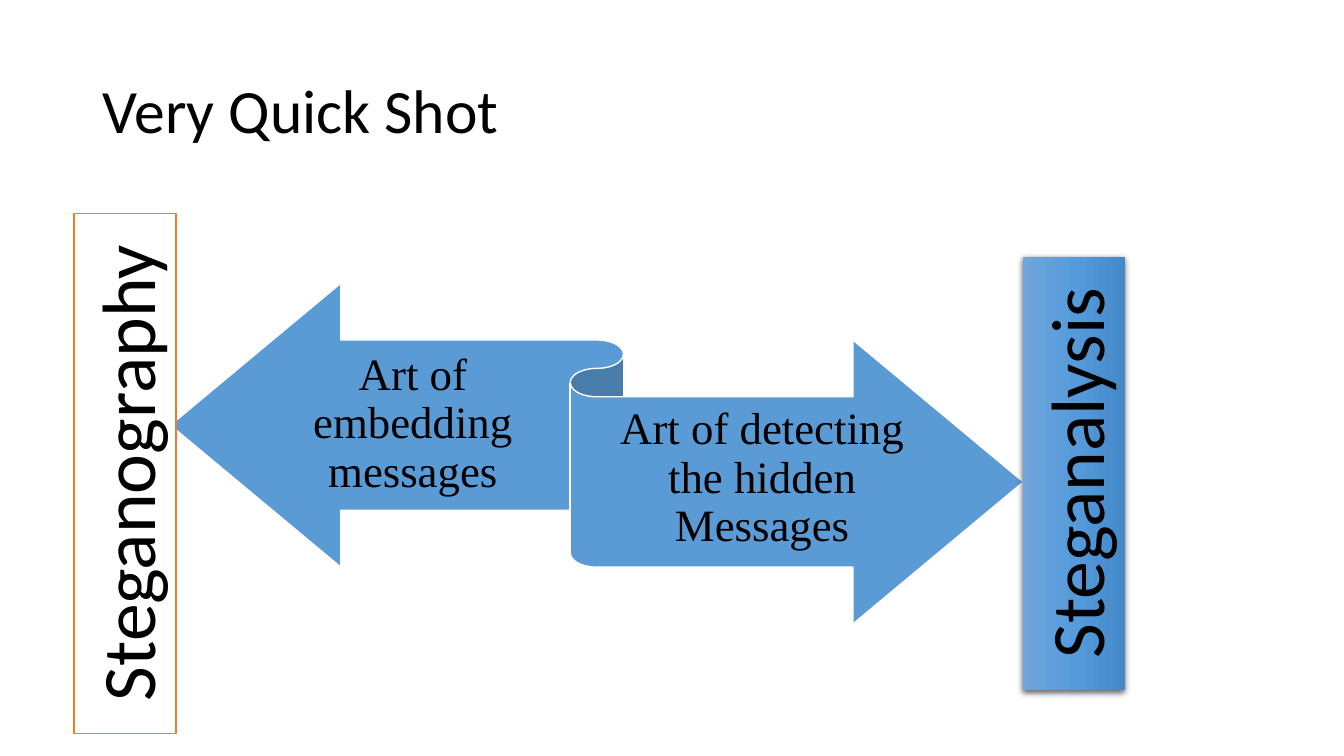
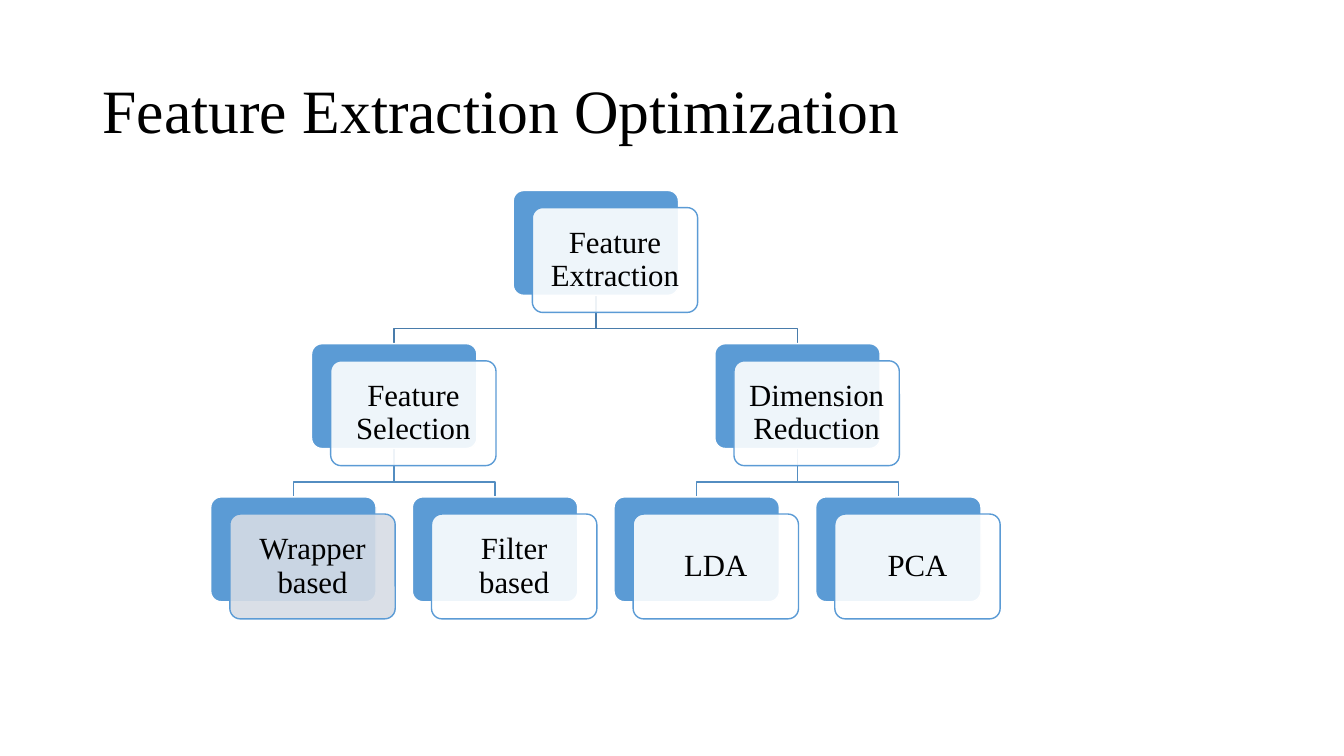
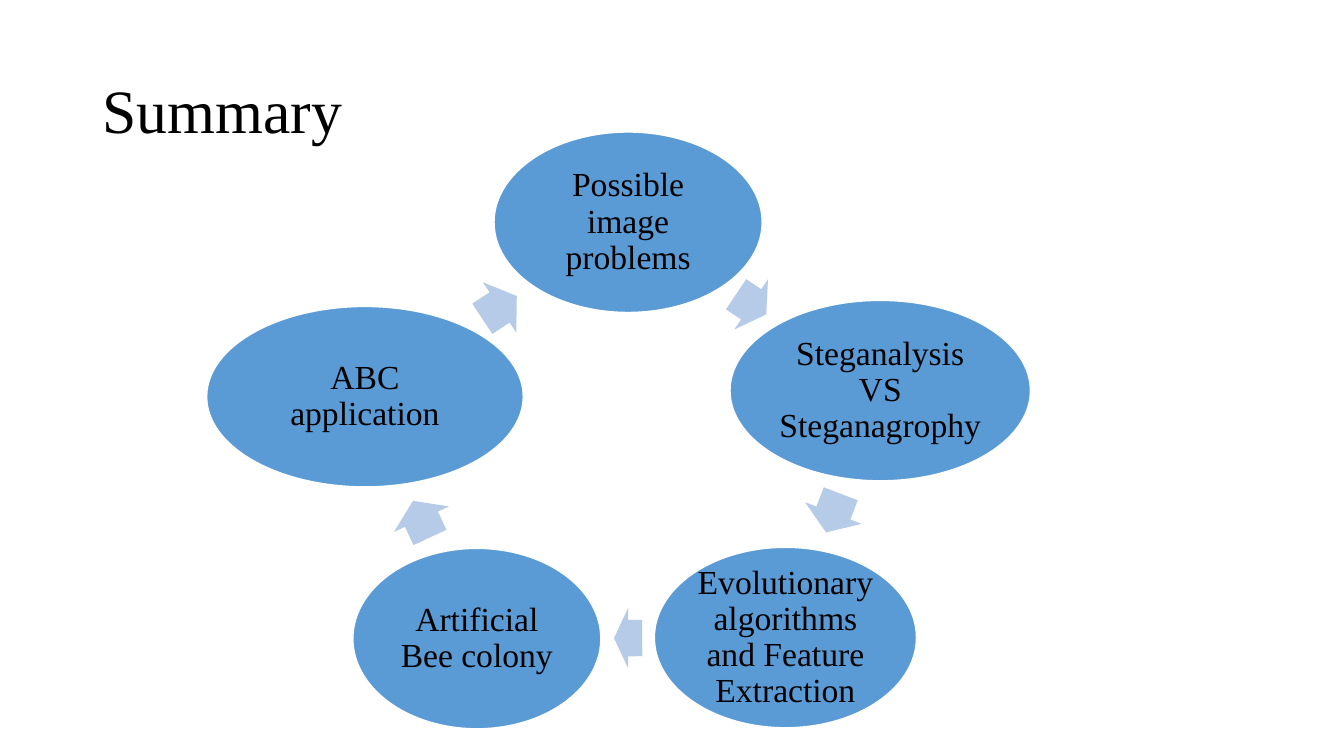
"""Build three slides on steganography, feature extraction and a summary."""
from copy import deepcopy

from pptx import Presentation
from pptx.dml.color import RGBColor
from pptx.enum.shapes import MSO_SHAPE as Preset
from pptx.enum.text import MSO_ANCHOR as Anchor, PP_ALIGN as Align
from pptx.oxml import parse_xml
from pptx.oxml.ns import nsdecls, qn
from pptx.util import Pt

PX = 9144
SANS, SERIF = "Calibri", "Times New Roman"
BLACK = RGBColor(0x00, 0x00, 0x00)
WHITE = RGBColor(0xFF, 0xFF, 0xFF)
BLUE = RGBColor(0x5B, 0x9B, 0xD5)
PALE_BLUE = RGBColor(0xB5, 0xCB, 0xE7)
PALE_GREY = RGBColor(0xD6, 0xDC, 0xE5)
ORANGE = RGBColor(0xED, 0x7D, 0x31)
UPPER_BRANCH = RGBColor(0x49, 0x7C, 0xAB)
LOWER_BRANCH = RGBColor(0x53, 0x8D, 0xC1)
GRADIENT = [(0, RGBColor(0x71, 0xA6, 0xDB)),
            (0.5, RGBColor(0x55, 0x9B, 0xDB)),
            (1, RGBColor(0x44, 0x8A, 0xCA))]


def write(shape, text, size, font=SERIF, align=Align.CENTER, spacing=0.9,
          insets=(10, 5), wrap=True):
    """Set one formatted paragraph in a shape."""
    frame = shape.text_frame
    frame.word_wrap = wrap
    frame.vertical_anchor = Anchor.MIDDLE
    frame.margin_left = frame.margin_right = insets[0] * PX
    frame.margin_top = frame.margin_bottom = insets[1] * PX
    paragraph = frame.paragraphs[0]
    paragraph.text = text
    paragraph.alignment = align
    paragraph.line_spacing = spacing
    paragraph.font.size = Pt(size)
    paragraph.font.name = font
    paragraph.font.color.rgb = BLACK


def draw(slide, preset, box, fill, line=None, rotation=0):
    """Add a flat preset shape with an optional outline."""
    shape = slide.shapes.add_shape(preset, *[value * PX for value in box])
    shape.shadow.inherit = False
    shape.rotation = rotation
    shape.fill.solid()
    shape.fill.fore_color.rgb = fill
    if line is None:
        shape.line.fill.background()
    else:
        shape.line.color.rgb = line
        shape.line.width = Pt(1)
    return shape


deck = Presentation()
deck.slide_width, deck.slide_height = 1333 * PX, 750 * PX
slides = []
for heading, font in [("Very Quick Shot", SANS),
                      ("Feature Extraction Optimization", SERIF),
                      ("Summary", SERIF)]:
    slide = deck.slides.add_slide(deck.slide_layouts[6])
    title = slide.shapes.add_textbox(92 * PX, 40 * PX, 1150 * PX, 145 * PX)
    write(title, heading, 44, font=font, align=Align.LEFT)
    slides.append(slide)
quick_shot, optimization, summary = slides

draw(quick_shot, Preset.LEFT_RIGHT_RIBBON, (169, 281, 846, 338), BLUE, WHITE)
for left, top, width, meaning in [
        (270, 338, 279, "Art of embedding messages"),
        (591, 392, 330, "Art of detecting the hidden Messages")]:
    definition = quick_shot.shapes.add_textbox(left * PX, top * PX, width * PX, 166 * PX)
    write(definition, meaning, 32, insets=(0, 12))

steganography = draw(quick_shot, Preset.RECTANGLE, (-134, 419, 516, 101), WHITE, ORANGE, 270)
steganalysis = draw(quick_shot, Preset.RECTANGLE, (850, 419, 430, 101), BLUE, rotation=270)
for banner, term in [(steganography, "Steganography"), (steganalysis, "Steganalysis")]:
    write(banner, term, 54, font=SANS, spacing=1.0, wrap=False)
steganalysis.fill.gradient()
steganalysis.fill.gradient_angle = 270
properties = steganalysis._element.spPr
stops = properties.find(".//" + qn("a:gsLst"))
stops.append(deepcopy(stops[0]))
for stop, (position, colour) in zip(steganalysis.fill.gradient_stops, GRADIENT):
    stop.position = position
    stop.color.rgb = colour
properties.find(qn("a:effectLst")).append(parse_xml(
    f'<a:outerShdw {nsdecls("a")} blurRad="57150" dist="19050" dir="5400000" '
    'algn="ctr" rotWithShape="0"><a:srgbClr val="000000"><a:alpha val="63000"/>'
    '</a:srgbClr></a:outerShdw>'))

CARD_W, CARD_H, LEVEL_STEP = 164, 104, 152
tree = [("Feature Extraction", 591, 0, None, WHITE),
        ("Feature Selection", 391, 1, 591, WHITE),
        ("Dimension Reduction", 791, 1, 591, WHITE),
        ("Wrapper based", 291, 2, 391, PALE_GREY),
        ("Filter based", 491, 2, 391, WHITE),
        ("LDA", 691, 2, 791, WHITE),
        ("PCA", 891, 2, 791, WHITE)]
for label, centre, level, parent, tint in tree:
    if parent is None:
        continue
    child_top = 189 + level * LEVEL_STEP
    start, bend = child_top - LEVEL_STEP + CARD_H, child_top - 15
    path = optimization.shapes.build_freeform(parent, start, scale=PX)
    path.add_line_segments([(parent, bend), (centre, bend), (centre, child_top)], close=False)
    branch = path.convert_to_shape()
    branch.shadow.inherit = False
    branch.fill.background()
    branch.line.color.rgb = UPPER_BRANCH if level == 1 else LOWER_BRANCH
    branch.line.width = Pt(1)
for label, centre, level, parent, tint in tree:
    left, top = centre - CARD_W // 2, 189 + level * LEVEL_STEP
    back = draw(optimization, Preset.ROUNDED_RECTANGLE, (left, top, CARD_W, CARD_H), BLUE, WHITE)
    front = draw(optimization, Preset.ROUNDED_RECTANGLE,
                 (left + 19, top + 17, CARD_W, CARD_H), tint, BLUE)
    back.adjustments[0] = front.adjustments[0] = 0.1
    tint_xml = front._element.spPr.find(qn("a:solidFill"))[0]
    tint_xml.append(parse_xml(f'<a:alpha {nsdecls("a")} val="90000"/>'))
    write(front, label, 22, insets=(9, 9))

for topic, left, top, width, arrow_box, turn in [
        ("Possible image problems", 490, 131, 266, (727, 272, 36, 60), 33.8),
        ("Steganalysis VS Steganagrophy", 724, 298, 298, (806, 479, 41, 60), 110.9),
        ("Evolutionary algorithms and Feature Extraction", 649, 543, 260,
         (609, 603, 28, 60), 179.9),
        ("Artificial Bee colony", 350, 544, 246, (398, 485, 40, 60), 245.1),
        ("ABC application", 205, 304, 314, (475, 275, 41, 60), 326.5)]:
    bubble = draw(summary, Preset.OVAL, (left, top, width, 179), BLUE, WHITE)
    write(bubble, topic, 24, insets=(3, 3))
    arrow = draw(summary, Preset.RIGHT_ARROW, arrow_box, PALE_BLUE, rotation=turn)
    arrow.adjustments[0], arrow.adjustments[1] = 0.6, 0.5

deck.save("out.pptx")
